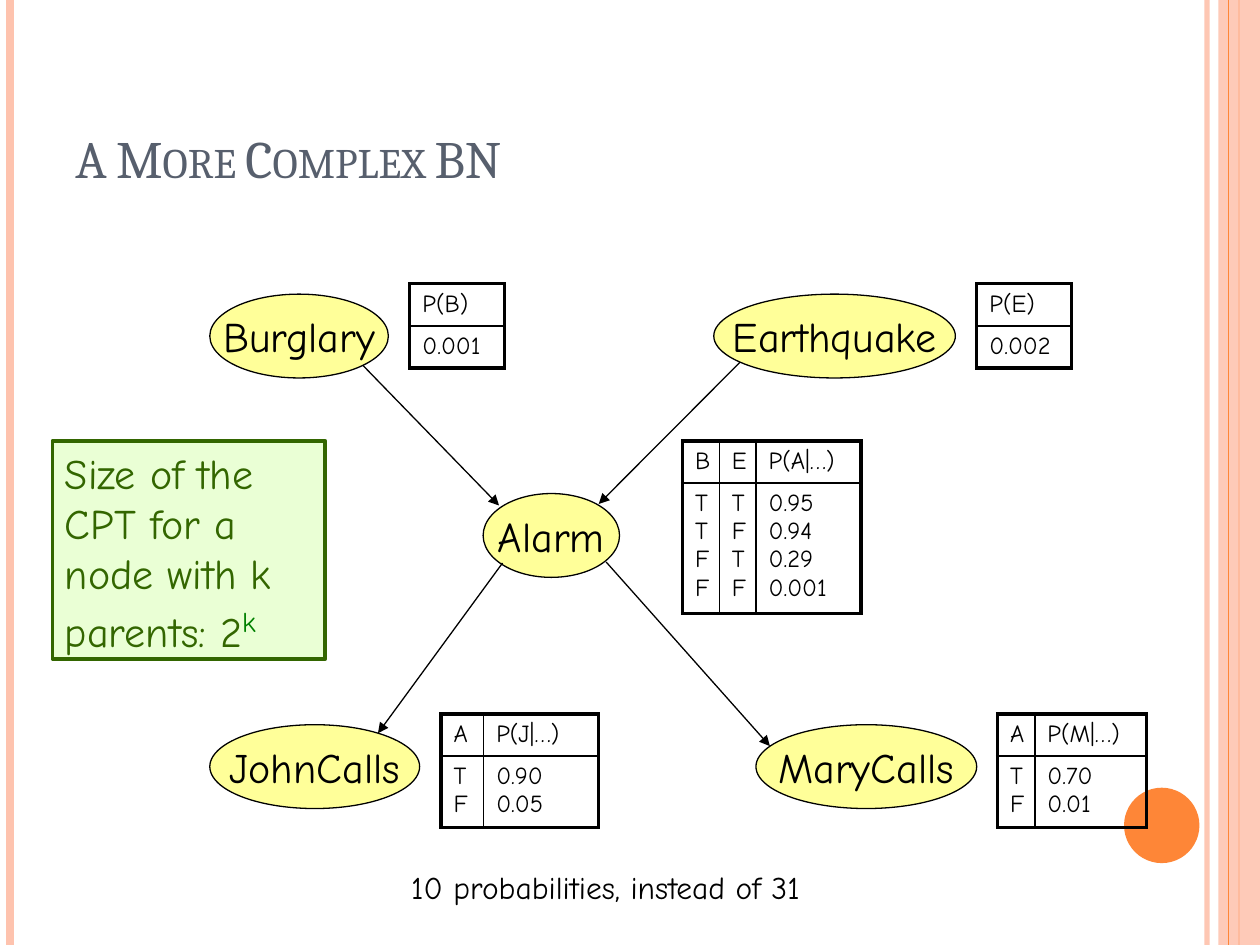
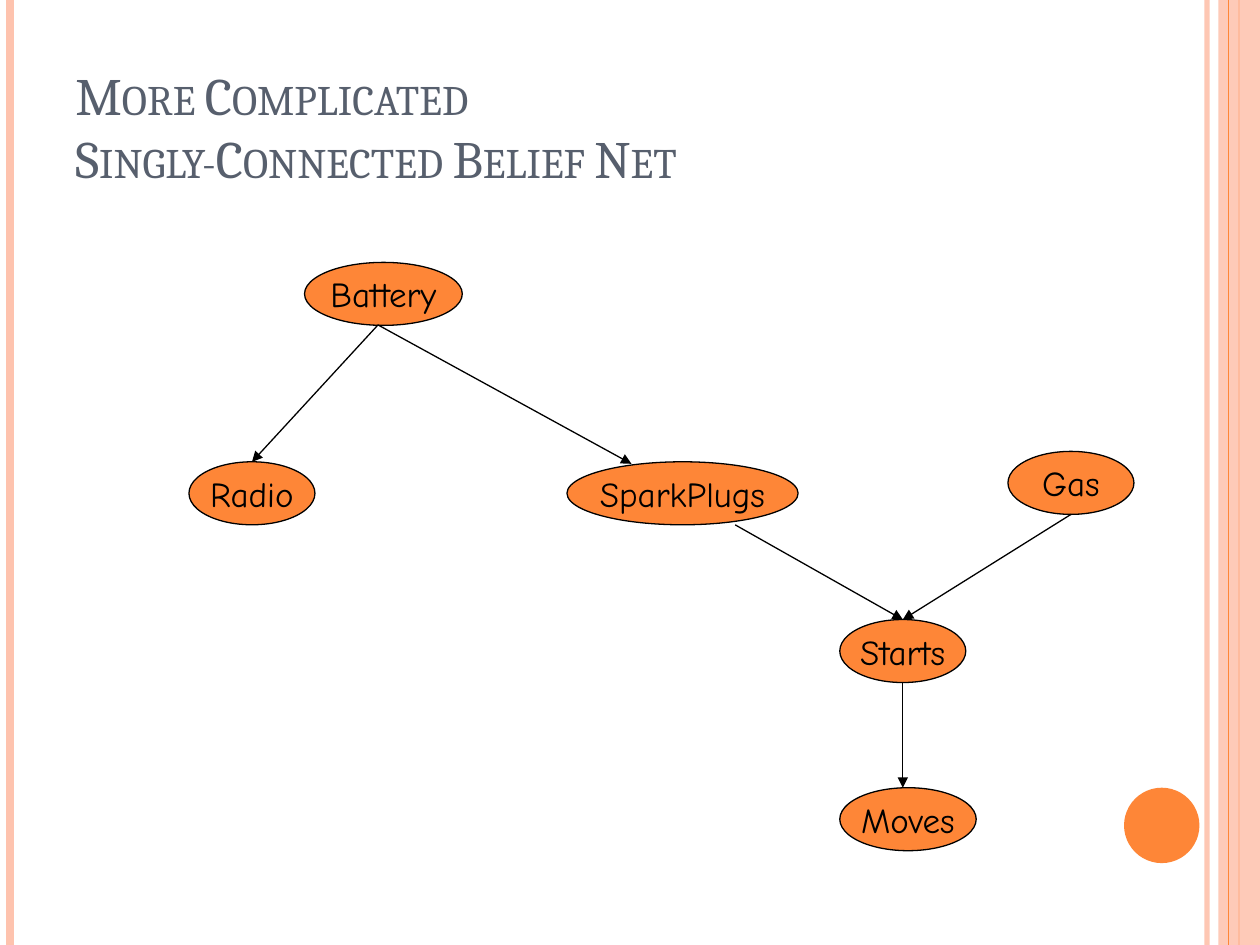
import copy

import lxml.etree
import pptx
import pptx.dml.color
import pptx.enum.shapes
import pptx.enum.text
import pptx.oxml.ns
import pptx.util

Cm, Pt, qn = pptx.util.Cm, pptx.util.Pt, pptx.oxml.ns.qn
SHAPE = pptx.enum.shapes.MSO_SHAPE
ANCHOR = pptx.enum.text.MSO_ANCHOR
ALIGN = pptx.enum.text.PP_ALIGN
BODY_FONT, TITLE_FONT = "Comic Neue", "Cambria"
BLACK, ORANGE, PEACH, YELLOW, SLATE = "000000", "FE8637", "FEC3AE", "FFFF99", "575F6D"
DARK_GREEN, GREEN, PALE_GREEN = "336600", "008000", "EAFFD5"
WIDTH, HEIGHT = 25.4, 19.05


def paint(color_format, color, opacity=None):
    """Set a colour from a hex string, with an optional opacity in percent."""
    color_format.rgb = pptx.dml.color.RGBColor.from_string(color)
    if opacity is not None:
        srgb = color_format._color._xClr
        lxml.etree.SubElement(srgb, qn("a:alpha"), val=str(opacity * 1000))


def write(paragraph, text, size=14, color=BLACK, font=BODY_FONT, **attributes):
    """Add text to a paragraph, with a line break at each newline."""
    properties = None
    for line in text.split("\n"):
        if properties is not None:
            paragraph.add_line_break()
            paragraph._p[-1].append(copy.deepcopy(properties))
        run = paragraph.add_run()
        run.text = line
        run.font.size = Pt(size)
        run.font.name = font
        paint(run.font.color, color)
        properties = run._r.get_or_add_rPr()
        for name, value in attributes.items():
            properties.set(name, value)


class Deck:
    """Holds the presentation, its style and the current slide."""

    def __init__(self):
        """Start an empty deck."""
        self.presentation = pptx.Presentation()
        self.presentation.slide_width = Cm(WIDTH)
        self.presentation.slide_height = Cm(HEIGHT)
        self.shapes = None

    def start_slide(self, title):
        """Add a slide with the side bands, the disc and a title."""
        layout = self.presentation.slide_layouts[6]
        self.shapes = self.presentation.slides.add_slide(layout).shapes
        for x, color, width, opacity in ((24.33, PEACH, 3, 93), (0.21, PEACH, 4.5, None), (24.98, ORANGE, 1.5, None)):
            self.line((x, 0), (x, HEIGHT), color, width, opacity)
        self.shape(SHAPE.RECTANGLE, (24.56, 0, 0.84, HEIGHT), PEACH, opacity=87)
        self.line((24.77, 0), (24.77, HEIGHT), ORANGE)
        self.shape(SHAPE.OVAL, (22.66, 15.88, 1.52, 1.52), ORANGE)
        self.text((1.27, 0.76, 20.75, 3.18), title, ANCHOR.BOTTOM, size=30, color=SLATE, font=TITLE_FONT, cap="small")

    def line(self, start, end, color=BLACK, width=0.75, opacity=None, arrow=False):
        """Draw a straight line, with an arrowhead at its end if asked."""
        straight = pptx.enum.shapes.MSO_CONNECTOR.STRAIGHT
        connector = self.shapes.add_connector(straight, *map(Cm, start + end))
        connector.line.width = Pt(width)
        connector.line.fill.solid()
        paint(connector.line.fill.fore_color, color, opacity)
        if arrow:
            lxml.etree.SubElement(connector.line._get_or_add_ln(), qn("a:tailEnd"), type="triangle")
        lxml.etree.SubElement(connector._element.spPr, qn("a:effectLst"))

    def shape(self, preset, box, fill, outline=None, width=0.75, opacity=None):
        """Draw a filled preset shape and return it."""
        shape = self.shapes.add_shape(preset, *map(Cm, box))
        shape.shadow.inherit = False
        shape.fill.solid()
        paint(shape.fill.fore_color, fill, opacity)
        if outline:
            shape.line.width = Pt(width)
            paint(shape.line.color, outline)
        else:
            shape.line.fill.background()
        return shape

    def text(self, box, text, anchor=ANCHOR.TOP, **style):
        """Add a wrapped text box."""
        frame = self.shapes.add_textbox(*map(Cm, box)).text_frame
        frame.word_wrap = True
        frame.vertical_anchor = anchor
        write(frame.paragraphs[0], text, **style)

    def network(self, nodes, arrows, height, fill, size):
        """Draw the nodes of a belief net and the arrows between them."""
        for name, left, top, width in nodes:
            frame = self.shape(SHAPE.OVAL, (left, top, width, height), fill, BLACK).text_frame
            frame.word_wrap = False
            frame.vertical_anchor = ANCHOR.MIDDLE
            frame.paragraphs[0].alignment = ALIGN.CENTER
            write(frame.paragraphs[0], name, size=size)
        for start, end in arrows:
            self.line(start, end, arrow=True)

    def callout(self, box, text, exponent):
        """Draw the green box with a raised exponent after its text."""
        frame = self.shape(SHAPE.RECTANGLE, box, PALE_GREEN, DARK_GREEN, 2.25).text_frame
        frame.word_wrap = True
        frame.vertical_anchor = ANCHOR.TOP
        frame.paragraphs[0].alignment = ALIGN.LEFT
        write(frame.paragraphs[0], text, size=24, color=DARK_GREEN)
        write(frame.paragraphs[0], exponent, size=28, color=GREEN, baseline="30000")

    def probabilities(self, left, top, widths, heights, rows):
        """Add a probability table with a heavy frame and thin inner rules."""
        frame = self.shapes.add_table(len(heights), len(widths), *map(Cm, (left, top, sum(widths), sum(heights))))
        table = frame.table
        table.first_row = table.horz_banding = False
        for column, width in zip(table.columns, widths):
            column.width = Cm(width)
        for row, height in zip(table.rows, heights):
            row.height = Cm(height)
        for i, row in enumerate(rows):
            for j, text in enumerate(row):
                cell = table.cell(i, j)
                cell.margin_right = Cm(0)
                write(cell.text_frame.paragraphs[0], text)
                outer = {"L": j == 0, "R": j == len(widths) - 1, "T": i == 0, "B": i == len(heights) - 1}
                for side, heavy in outer.items():
                    self.border(cell, side, 2.25 if heavy else 1)
                cell.fill.background()

    def border(self, cell, side, width):
        """Draw one black border of a table cell."""
        rule = lxml.etree.SubElement(cell._tc.get_or_add_tcPr(), qn("a:ln" + side), w=str(Pt(width)))
        fill = lxml.etree.SubElement(rule, qn("a:solidFill"))
        lxml.etree.SubElement(fill, qn("a:srgbClr"), val=BLACK)


def build_alarm_net(deck):
    """Build the burglary alarm net with its probability tables."""
    deck.start_slide("A More Complex BN")
    deck.probabilities(13.76, 8.89, (0.74, 0.74, 2.12), (0.85, 2.54), (
        ("B", "E", "P(A|…)"),
        ("T\nT\nF\nF", "T\nF\nT\nF", "0.95\n0.94\n0.29\n0.001"),
    ))
    nodes = (
        ("Burglary", 4.23, 5.93, 3.6),
        ("Earthquake", 14.39, 5.93, 4.87),
        ("Alarm", 9.74, 9.95, 2.75),
        ("MaryCalls", 15.24, 14.61, 4.45),
        ("JohnCalls", 4.23, 14.61, 4.23),
    )
    arrows = (
        ((7.32, 7.37), (10.06, 10.19)),
        ((14.92, 7.3), (12.07, 10.16)),
        ((10.13, 11.35), (7.62, 14.78)),
        ((12.22, 11.33), (15.52, 15.04)),
    )
    deck.network(nodes, arrows, height=1.69, fill=YELLOW, size=24)
    for left, event, chance in ((8.26, "B", "0.001"), (19.69, "E", "0.002")):
        deck.probabilities(left, 5.72, (1.91,), (0.85, 0.85), ((f"P({event})",), (chance,)))
    for left, widths, caller, chances in (
        (8.89, (0.86, 2.31), "J", "0.90\n0.05"),
        (20.11, (0.75, 2.25), "M", "0.70\n0.01"),
    ):
        deck.probabilities(left, 14.39, widths, (0.85, 1.44), (("A", f"P({caller}|…)"), ("T\nF", chances)))
    deck.callout((1.06, 8.89, 5.5, 4.39), "Size of the CPT for a\nnode with k parents: 2", "k")
    deck.text((8.04, 17.37, 9.32, 1.02), "10 probabilities, instead of 31", size=18)


def build_car_net(deck):
    """Build the singly-connected net of a starting car."""
    deck.start_slide("More Complicated\nSingly-Connected Belief Net")
    nodes = (
        ("Radio", 3.81, 9.31, 2.54),
        ("Battery", 6.14, 5.29, 3.18),
        ("SparkPlugs", 11.43, 9.31, 4.66),
        ("Starts", 16.93, 12.49, 2.54),
        ("Gas", 20.32, 9.1, 2.54),
        ("Moves", 16.93, 15.88, 2.75),
    )
    battery_foot, starts_top = (7.62, 6.55), (18.2, 12.49)
    arrows = (
        (battery_foot, (5.08, 9.31)),
        (battery_foot, (12.73, 9.35)),
        ((14.82, 10.58), starts_top),
        ((21.59, 10.37), starts_top),
        ((18.2, 13.76), (18.2, 15.88)),
    )
    deck.network(nodes, arrows, height=1.27, fill=ORANGE, size=20)


def main():
    """Build both slides and save them."""
    deck = Deck()
    build_alarm_net(deck)
    build_car_net(deck)
    deck.presentation.save("out.pptx")


if __name__ == "__main__":
    main()
